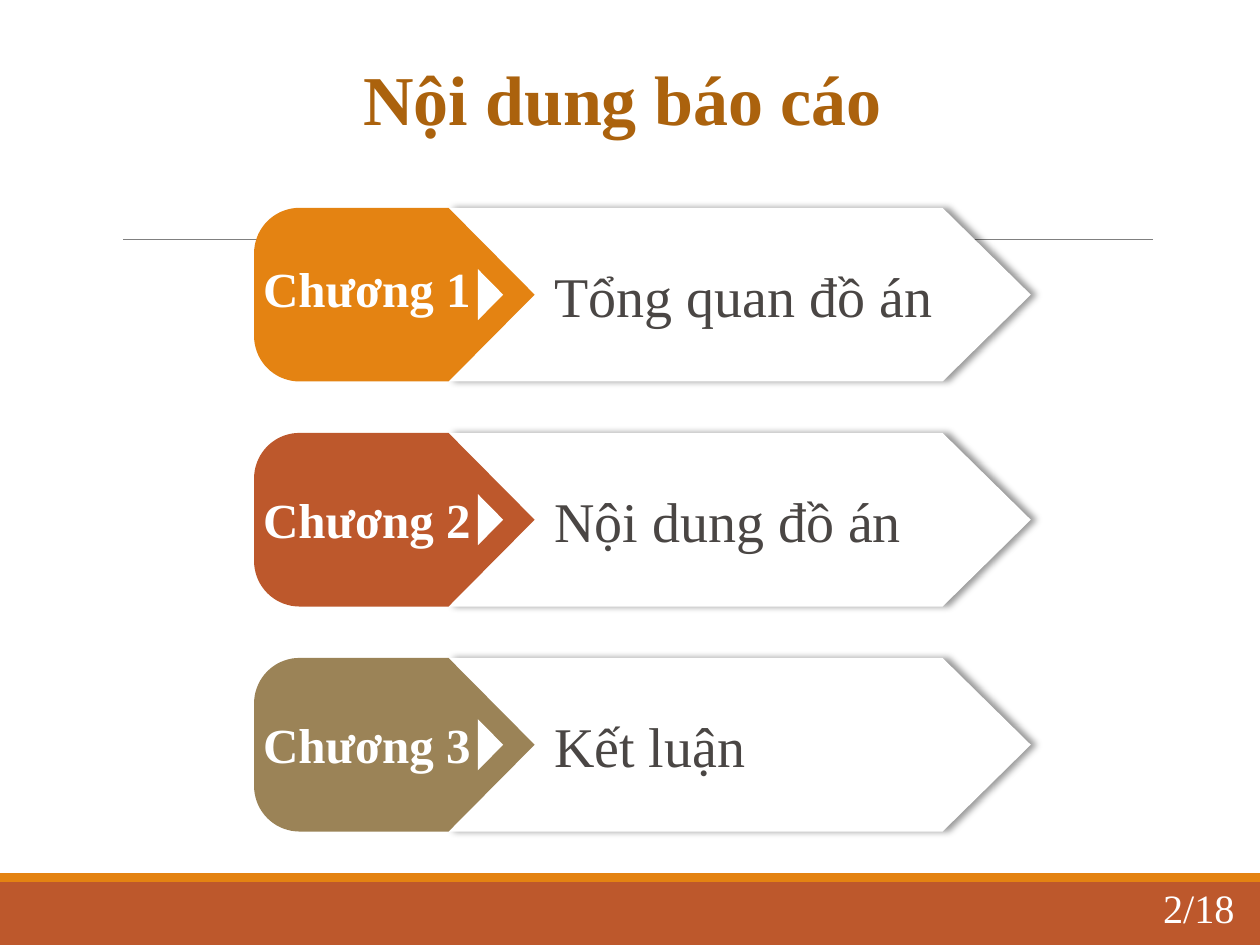
"""Build the report outline slide with three chapter banners."""
from math import cos, radians, sin

from lxml.etree import SubElement
from pptx import Presentation
from pptx.dml.color import RGBColor
from pptx.enum.shapes import MSO_CONNECTOR, MSO_SHAPE
from pptx.enum.text import MSO_ANCHOR, PP_ALIGN
from pptx.oxml import parse_xml
from pptx.oxml.ns import nsdecls, qn
from pptx.util import Pt

TITLE = "Nội dung báo cáo"
PAGE = "2/18"
CHAPTERS = [
    {"label": "Chương 1", "topic": "Tổng quan đồ án", "color": "E48312", "label_offset": 25.2},
    {"label": "Chương 2", "topic": "Nội dung đồ án", "color": "BD582C", "label_offset": 28.5},
    {"label": "Chương 3", "topic": "Kết luận", "color": "9B8357", "label_offset": 28.5},
]
THEME = {
    "font": "Times New Roman",
    "white": "FFFFFF", "title": "AB620D", "topic": "4A4644",
    "orange": "E48312", "rust": "BD582C", "rule": "808080",
    "title_size": 40, "label_size": 28, "topic_size": 32, "page_size": 23,
}
WIDTH, HEIGHT = 720, 540
FIRST_TOP, PITCH, ROW_HEIGHT = 118.8, 128.6, 99.2
TAB_LEFT, TAB_SHOULDER, TAB_TIP, TAB_RADIUS = 145.2, 256.3, 305.5, 26
BANNER_WIDTH, BANNER_POINT = 332.7, 50.4
MARKER_CENTER, MARKER_BASE, MARKER_DEPTH = 280.3, 29.2, 14.4


def color(name):
    return RGBColor.from_string(THEME.get(name, name))


def paint(shape, fill):
    shape.shadow.inherit = False
    shape.fill.solid()
    shape.fill.fore_color.rgb = color(fill)
    shape.line.fill.background()
    return shape


def add_block(slide, kind, left, top, width, height, fill):
    shape = slide.shapes.add_shape(kind, Pt(left), Pt(top), Pt(width), Pt(height))
    return paint(shape, fill)


def write(shape, text, role, fill, bold=False, align=PP_ALIGN.LEFT, wrap=False):
    frame = shape.text_frame
    frame.text = text
    frame.word_wrap = wrap
    frame.vertical_anchor = MSO_ANCHOR.MIDDLE
    paragraph = frame.paragraphs[0]
    paragraph.alignment = align
    font = paragraph.runs[0].font
    font.name, font.size, font.bold = THEME["font"], Pt(THEME[role]), bold
    font.color.rgb = color(fill)
    return font


def add_text(slide, box, *args, **options):
    return write(slide.shapes.add_textbox(*map(Pt, box)), *args, **options)


def add_title(slide):
    title = slide.shapes.title
    title.left, title.top, title.width, title.height = map(Pt, (198.7, 28.1, 313.9, 55.4))
    font = write(title, TITLE, "title_size", "title", bold=True, align=PP_ALIGN.CENTER)
    outline = parse_xml(
        f'<a:ln {nsdecls("a")} w="12700"><a:solidFill>'
        f'<a:srgbClr val="{THEME["orange"]}"/></a:solidFill></a:ln>')
    title.text_frame.paragraphs[0].runs[0].font.fill.solid()
    font.color.rgb = color("title")
    title.text_frame.paragraphs[0].runs[0]._r.get_or_add_rPr().insert(0, outline)


def add_frame(slide):
    add_block(slide, MSO_SHAPE.RECTANGLE, 0, 504, WIDTH, 36, "rust")
    add_block(slide, MSO_SHAPE.RECTANGLE, 0, 499, WIDTH, 5, "orange")
    rule = slide.shapes.add_connector(
        MSO_CONNECTOR.STRAIGHT, Pt(70.5), Pt(136.8), Pt(658.8), Pt(136.8))
    rule.line.color.rgb = color("rule")
    rule.line.width = Pt(0.5)
    SubElement(rule._element.spPr, qn("a:effectLst"))


def add_banner(slide, top):
    banner = add_block(slide, MSO_SHAPE.PENTAGON, TAB_SHOULDER, top,
                       BANNER_WIDTH, ROW_HEIGHT, "white")
    banner.adjustments[0] = BANNER_POINT / ROW_HEIGHT
    banner._element.spPr.find(qn("a:effectLst")).append(parse_xml(
        f'<a:outerShdw {nsdecls("a")} blurRad="{Pt(4)}" dist="{Pt(3)}" dir="0">'
        '<a:srgbClr val="000000"><a:alpha val="40000"/></a:srgbClr></a:outerShdw>'))


def add_tab(slide, top, fill):
    bottom = top + ROW_HEIGHT
    corners = [(bottom - TAB_RADIUS, range(90, 181, 5)), (top + TAB_RADIUS, range(180, 271, 5))]
    points = [(TAB_SHOULDER, top), (TAB_TIP, top + ROW_HEIGHT / 2), (TAB_SHOULDER, bottom)]
    points += [(TAB_LEFT + TAB_RADIUS * (1 + cos(radians(angle))),
                center + TAB_RADIUS * sin(radians(angle)))
               for center, angles in corners for angle in angles]
    points = [(Pt(x), Pt(y)) for x, y in points]
    builder = slide.shapes.build_freeform(*points[0])
    builder.add_line_segments(points[1:], close=True)
    paint(builder.convert_to_shape(), fill)


def add_chapter(slide, index, chapter):
    top = FIRST_TOP + index * PITCH
    add_banner(slide, top)
    add_tab(slide, top, chapter["color"])
    marker = add_block(slide, MSO_SHAPE.ISOSCELES_TRIANGLE,
                       MARKER_CENTER - MARKER_BASE / 2,
                       top + (ROW_HEIGHT - MARKER_DEPTH) / 2,
                       MARKER_BASE, MARKER_DEPTH, "white")
    marker.rotation = 90
    add_text(slide, (143.3, top + chapter["label_offset"], 134.6, 41),
             chapter["label"], "label_size", "white", bold=True)
    add_text(slide, (309.6, top + 26.6, 267.1, 46),
             chapter["topic"], "topic_size", "topic", wrap=True)


def main():
    presentation = Presentation()
    presentation.slide_width, presentation.slide_height = Pt(WIDTH), Pt(HEIGHT)
    slide = presentation.slides.add_slide(presentation.slide_layouts[5])
    add_frame(slide)
    add_title(slide)
    for index, chapter in enumerate(CHAPTERS):
        add_chapter(slide, index, chapter)
    add_text(slide, (650.9, 505.4, 68.4, 26.6), PAGE, "page_size", "white",
             align=PP_ALIGN.CENTER, wrap=True)
    presentation.save("out.pptx")


if __name__ == "__main__":
    main()
